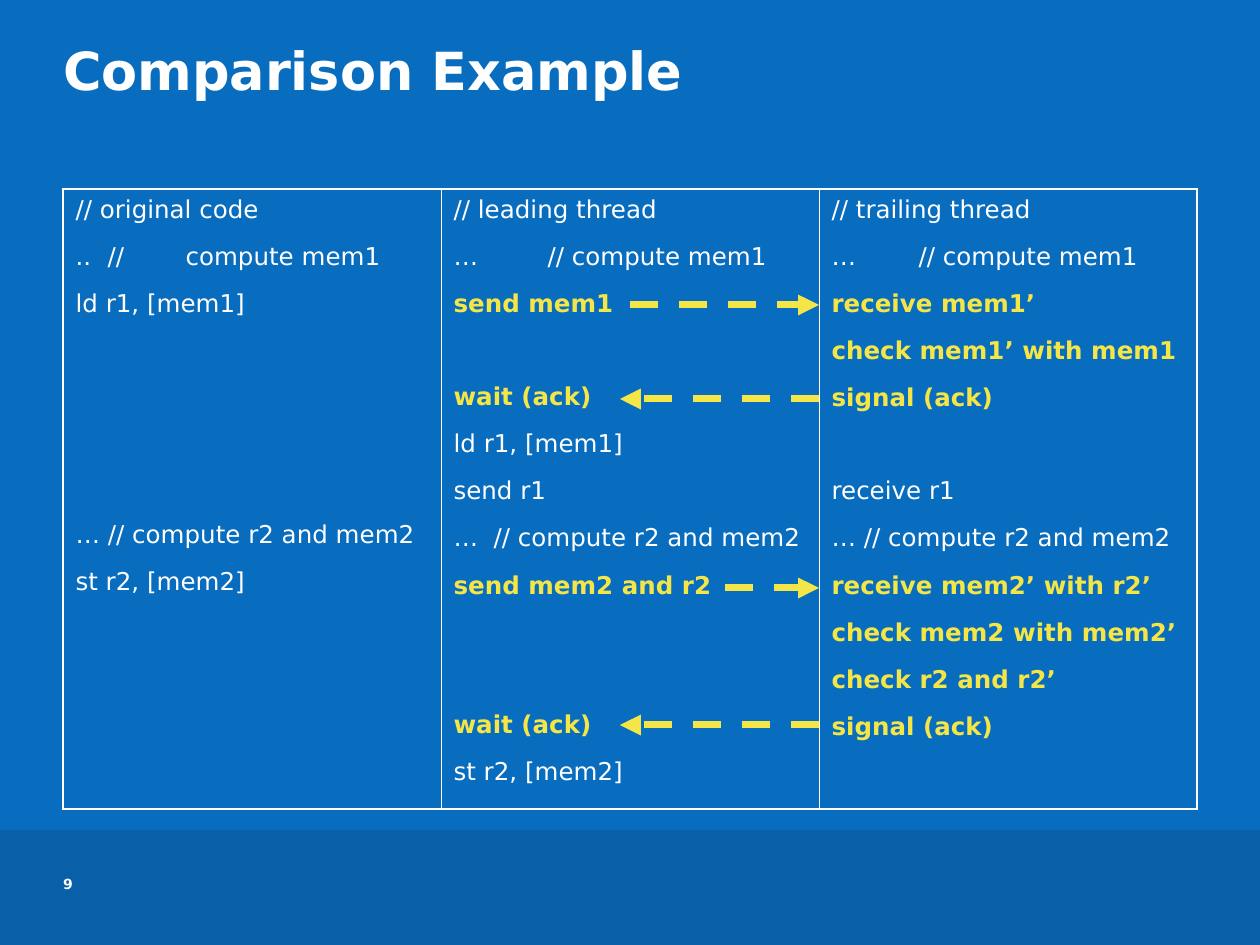
"""Build the slide comparing original, leading and trailing thread code."""
from dataclasses import dataclass

from lxml import etree
from pptx import Presentation
from pptx import util as u
from pptx.dml.color import RGBColor
from pptx.enum import dml, shapes, text
from pptx.oxml import ns

PX = 914400 / 126


@dataclass(frozen=True)
class Theme:
    """Colours, type sizes and spacing of the slide."""
    font: str = "DejaVu Sans"
    back: str = "096DBF"
    band: str = "0860A8"
    plain: str = "FFFFFF"
    accent: str = "F5E647"
    title: int = 30
    code: int = 14
    number: int = 8
    space: float = 10.5
    skipped_line: float = 26.3
    outer_border: float = 1.08
    inner_border: float = 0.45
    arrow: float = 4


@dataclass(frozen=True)
class Line:
    """A line of code, its tab stops in px and the lines skipped above it."""
    code: str
    added: bool = False
    skipped: int = 0
    tabs: tuple[int, ...] = ()


@dataclass(frozen=True)
class Arrow:
    """A horizontal message between the two threads."""
    start: int
    end: int
    y: int


THEME = Theme()

ORIGINAL = [
    Line("// original code"),
    Line("..\t//\tcompute mem1", tabs=(32, 110)),
    Line("ld r1, [mem1]"),
    Line("… // compute r2 and mem2", skipped=4),
    Line("st r2, [mem2]"),
]
LEADING = [
    Line("// leading thread"),
    Line("…\t// compute mem1", tabs=(94,)),
    Line("send mem1", added=True),
    Line("wait (ack)", added=True, skipped=1),
    Line("ld r1, [mem1]"),
    Line("send r1"),
    Line("…\t// compute r2 and mem2", tabs=(40,)),
    Line("send mem2 and r2", added=True),
    Line("wait (ack)", added=True, skipped=2),
    Line("st r2, [mem2]"),
]
TRAILING = [
    Line("// trailing thread"),
    Line("…\t// compute mem1", tabs=(87,)),
    Line("receive mem1’", added=True),
    Line("check mem1’ with mem1", added=True),
    Line("signal (ack)", added=True),
    Line("receive r1", skipped=1),
    Line("… // compute r2 and mem2"),
    Line("receive mem2’ with r2’", added=True),
    Line("check mem2 with mem2’", added=True),
    Line("check r2 and r2’", added=True),
    Line("signal (ack)", added=True),
]
ARROWS = [
    Arrow(819, 620, 399),
    Arrow(819, 620, 725),
    Arrow(630, 819, 305),
    Arrow(725, 819, 588),
]


def px(length: int) -> u.Emu:
    """Turn px into EMU."""
    return u.Emu(round(length * PX))


def style(paragraph, size: int, color: str, bold: bool) -> None:
    """Set the font of a whole paragraph."""
    font = paragraph.font
    font.name, font.size, font.bold = THEME.font, u.Pt(size), bold
    font.color.rgb = RGBColor.from_string(color)


def fill_frame(frame, words: str, size: int) -> None:
    """Put one bold line at the top left of a frame without margins."""
    frame.margin_left = frame.margin_right = 0
    frame.margin_top = frame.margin_bottom = 0
    frame.word_wrap = True
    frame.auto_size = text.MSO_AUTO_SIZE.NONE
    frame.vertical_anchor = text.MSO_ANCHOR.TOP
    para = frame.paragraphs[0]
    para.text = words
    para.alignment = text.PP_ALIGN.LEFT
    style(para, size, THEME.plain, True)


def add_tabs(paragraph, stops: tuple[int, ...]) -> None:
    """Give a paragraph left tab stops."""
    holder = etree.SubElement(paragraph._p.get_or_add_pPr(), ns.qn("a:tabLst"))
    for stop in stops:
        etree.SubElement(holder, ns.qn("a:tab"), pos=str(px(stop)), algn="l")


def add_borders(cell, widths: dict[str, float]) -> None:
    """Draw the sides of a cell, given in L, R, T, B order."""
    properties = cell._tc.get_or_add_tcPr()
    for index, (side, width) in enumerate(widths.items()):
        border = etree.Element(ns.qn(f"a:ln{side}"), w=str(u.Pt(width)))
        fill = etree.SubElement(border, ns.qn("a:solidFill"))
        etree.SubElement(fill, ns.qn("a:srgbClr"), val=THEME.plain)
        properties.insert(index, border)


def fill_cell(cell, lines: list[Line]) -> None:
    """Write a listing into a table cell."""
    cell.fill.background()
    cell.margin_left = cell.margin_right = u.Inches(0.1)
    cell.margin_top = cell.margin_bottom = u.Inches(0.05)
    frame = cell.text_frame
    for index, line in enumerate(lines):
        para = frame.add_paragraph() if index else frame.paragraphs[0]
        para.text = line.code
        if line.tabs:
            add_tabs(para, line.tabs)
        if index:
            para.space_before = u.Pt(THEME.space + line.skipped * THEME.skipped_line)
        style(para, THEME.code, THEME.accent if line.added else THEME.plain, line.added)


def add_listings(slide, listings: list[list[Line]]) -> None:
    """Add the table with one listing in each column."""
    count = len(listings)
    table = slide.shapes.add_table(1, count, px(63), px(189), px(378 * count), px(620)).table
    table.first_row = table.horz_banding = False
    outer, inner = THEME.outer_border, THEME.inner_border
    for index, lines in enumerate(listings):
        cell = table.cell(0, index)
        fill_cell(cell, lines)
        add_borders(cell, {
            "L": inner if index else outer,
            "R": inner if index < count - 1 else outer,
            "T": outer,
            "B": outer,
        })


def add_arrow(slide, arrow: Arrow) -> None:
    """Draw a dashed arrow."""
    connector = slide.shapes.add_connector(
        shapes.MSO_CONNECTOR.STRAIGHT, px(arrow.start), px(arrow.y), px(arrow.end), px(arrow.y))
    line = connector.line
    line.color.rgb = RGBColor.from_string(THEME.accent)
    line.width = u.Pt(THEME.arrow)
    line.dash_style = dml.MSO_LINE.DASH
    etree.SubElement(line._get_or_add_ln(), ns.qn("a:tailEnd"), type="triangle")
    etree.SubElement(connector._element.spPr, ns.qn("a:effectLst"))


def main() -> None:
    """Build and save the deck."""
    deck = Presentation()
    deck.slide_width, deck.slide_height = px(1260), px(945)
    slide = deck.slides.add_slide(deck.slide_layouts[5])
    slide.background.fill.solid()
    slide.background.fill.fore_color.rgb = RGBColor.from_string(THEME.back)

    title = slide.shapes.title
    title.left, title.top, title.width, title.height = px(63), px(38), px(1135), px(122)
    fill_frame(title.text_frame, "Comparison Example", THEME.title)

    band = slide.shapes.add_shape(shapes.MSO_SHAPE.RECTANGLE, 0, px(830), px(1260), px(115))
    band.shadow.inherit = False
    band.fill.solid()
    band.fill.fore_color.rgb = RGBColor.from_string(THEME.band)
    band.line.fill.background()

    add_listings(slide, [ORIGINAL, LEADING, TRAILING])
    for arrow in ARROWS:
        add_arrow(slide, arrow)
    number = slide.shapes.add_textbox(px(63), px(876), px(57), px(41))
    fill_frame(number.text_frame, "9", THEME.number)
    deck.save("out.pptx")


if __name__ == "__main__":
    main()
